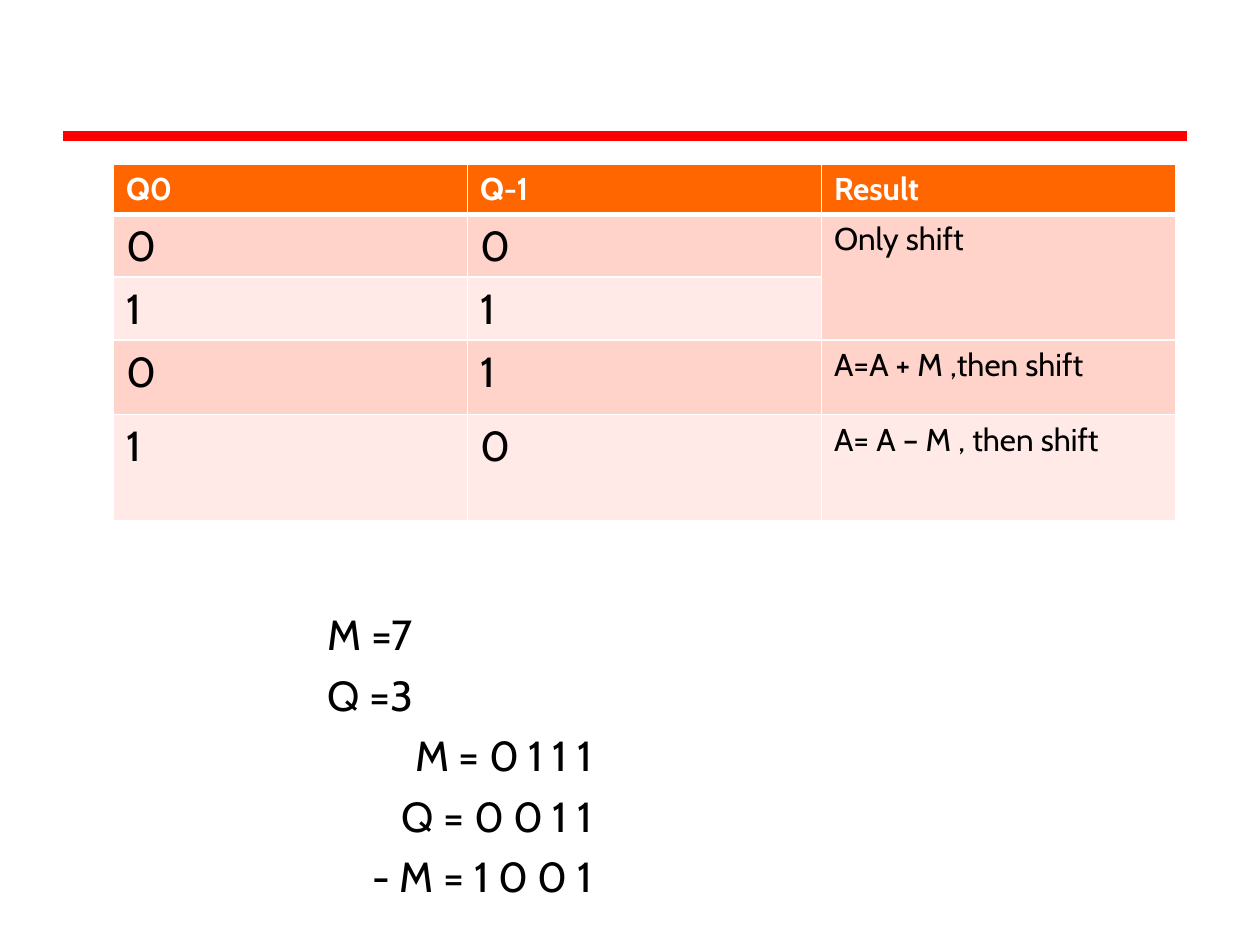
from dataclasses import dataclass

from lxml.etree import SubElement
from pptx import Presentation
from pptx.dml.color import RGBColor
from pptx.enum.shapes import MSO_CONNECTOR
from pptx.enum.text import MSO_ANCHOR, PP_ALIGN
from pptx.oxml.ns import qn
from pptx.util import Inches, Pt


@dataclass(frozen=True)
class Theme:
    font: str = "Cabin"
    rule: str = "FF0000"
    header: str = "FF6600"
    bands: tuple[str, str] = ("FFD2CA", "FFEAE7")
    white: str = "FFFFFF"
    black: str = "000000"
    small: int = 18
    large: int = 24


@dataclass(frozen=True)
class Line:
    text: str
    align: PP_ALIGN = PP_ALIGN.LEFT
    before: float = 5.8


THEME = Theme()
COLUMN_WIDTH = 2.81
ROW_HEIGHTS = (0.4, 0.5, 0.5, 0.59, 0.84)
ROWS = (
    ("Q0", "Q-1", "Result"),
    ("0", "0", "Only shift"),
    ("1", "1", ""),
    ("0", "1", "A=A + M ,then shift"),
    ("1", "0", "A= A – M , then shift"),
)
LINES = (
    Line("M =7", before=6.8),
    Line("Q =3"),
    Line("M = 0 1 1 1", PP_ALIGN.RIGHT),
    Line("Q = 0 0 1 1", PP_ALIGN.RIGHT),
    Line("- M = 1 0 0 1", PP_ALIGN.RIGHT),
)


def style(p, size: int, color: str, before: float, bold: bool = False) -> None:
    p.space_before = Pt(before)
    f = p.font
    f.name, f.size, f.bold = THEME.font, Pt(size), bold
    f.color.rgb = RGBColor.from_string(color)


def add_borders(cell, top: float, bottom: float) -> None:
    tc_pr = cell._tc.get_or_add_tcPr()
    widths = {"lnL": 1, "lnR": 1, "lnT": top, "lnB": bottom}
    for i, (tag, width) in enumerate(widths.items()):
        ln = tc_pr.makeelement(qn(f"a:{tag}"), {"w": str(Pt(width))})
        fill = SubElement(ln, qn("a:solidFill"))
        SubElement(fill, qn("a:srgbClr"), val=THEME.white)
        tc_pr.insert(i, ln)  # borders come before the fill


def add_rule(s) -> None:
    line = s.shapes.add_connector(MSO_CONNECTOR.STRAIGHT, Inches(0.5), Inches(1.08),
                                  Inches(9.42), Inches(1.08))
    line.line.color.rgb = RGBColor.from_string(THEME.rule)
    line.line.width = Pt(6)
    SubElement(line._element.spPr, qn("a:effectLst"))


def fill_cell(cell, text: str, row: int, col: int) -> None:
    header = row == 0
    cell.margin_left, cell.margin_right = Inches(0.1), 0
    cell.margin_top, cell.margin_bottom = Inches(0.05), 0
    cell.vertical_anchor = MSO_ANCHOR.TOP
    cell.fill.solid()
    color = THEME.header if header else THEME.bands[(row - 1) % 2]
    cell.fill.fore_color.rgb = RGBColor.from_string(color)
    add_borders(cell, top=3 if row == 1 else 1, bottom=3 if header else 1)
    p = cell.text_frame.paragraphs[0]
    if text:
        p.add_run().text = text
    size = THEME.small if header or col == 2 else THEME.large
    style(p, size, THEME.white if header else THEME.black, 3.5, header)


def add_rules_table(s) -> None:
    count = len(ROWS[0])
    table = s.shapes.add_table(len(ROWS), count, Inches(0.9), Inches(1.3),
                               Inches(COLUMN_WIDTH * count),
                               Inches(sum(ROW_HEIGHTS))).table
    for column in table.columns:
        column.width = Inches(COLUMN_WIDTH)
    for r, (height, texts) in enumerate(zip(ROW_HEIGHTS, ROWS)):
        table.rows[r].height = Inches(height)
        for c, text in enumerate(texts):
            fill_cell(table.cell(r, c), text, r, c)
    table.cell(1, 2).merge(table.cell(2, 2))


def add_operands(s) -> None:
    tf = s.shapes.add_textbox(Inches(2.59), Inches(4.74), Inches(2.11),
                              Inches(2.43)).text_frame
    tf.word_wrap = True
    tf.margin_left, tf.margin_top = Inches(0.01), Inches(0.09)
    tf.margin_right = tf.margin_bottom = 0
    for i, line in enumerate(LINES):
        p = tf.add_paragraph() if i else tf.paragraphs[0]
        p.add_run().text = line.text
        p.alignment = line.align
        style(p, THEME.large, THEME.black, line.before)


def main() -> None:
    prs = Presentation()
    prs.slide_width, prs.slide_height = Inches(10), Inches(7.5)
    s = prs.slides.add_slide(prs.slide_layouts[6])
    # Red rule under the title area
    add_rule(s)
    # Starting values
    add_operands(s)
    # Action for each bit pair
    add_rules_table(s)
    prs.save("out.pptx")


if __name__ == "__main__":
    main()
